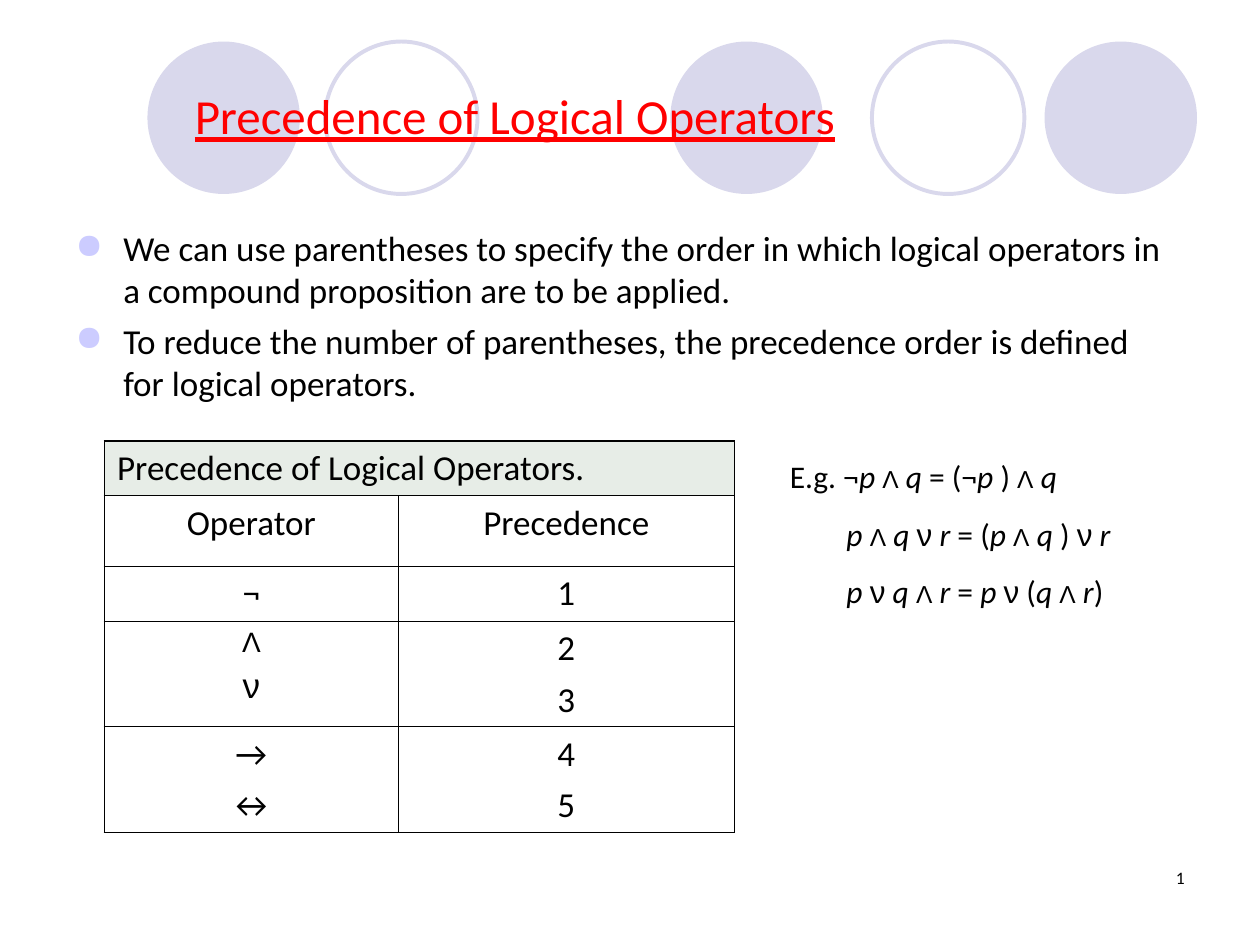
from itertools import groupby

from lxml import etree
from pptx import Presentation
from pptx.dml.color import RGBColor
from pptx.enum.shapes import MSO_SHAPE
from pptx.enum.text import MSO_ANCHOR, MSO_AUTO_SIZE, PP_ALIGN
from pptx.oxml.ns import qn
from pptx.util import Inches, Pt

OVAL = MSO_SHAPE.OVAL
TOP = MSO_ANCHOR.TOP
LEFT, CENTER, RIGHT = PP_ALIGN.LEFT, PP_ALIGN.CENTER, PP_ALIGN.RIGHT

COLORS = {
    "circle": "D9D8EC",
    "title": "FF0000",
    "text": "000000",
    "bullet": "CCCCFF",
    "header": "E7EDE7",
}
OUTER_BORDER, INNER_BORDER = Pt(1.08), Pt(0.45)


def color(name):
    return RGBColor.from_string(COLORS[name])


def set_font(font, size, name="Calibri", color_name="text"):
    font.size = Pt(size)
    font.name = name
    font.color.rgb = color(color_name)


presentation = Presentation()
presentation.slide_width = Inches(10)
presentation.slide_height = Inches(7.5)
slide = presentation.slides.add_slide(presentation.slide_layouts[5])
shapes = slide.shapes

# Row of decorative circles
for left, filled in [(1.17, True), (2.58, False), (5.32, True), (6.92, False), (8.29, True)]:
    circle = shapes.add_shape(OVAL, Inches(left), Inches(0.33), Inches(1.21), Inches(1.21))
    circle.shadow.inherit = False
    if filled:
        circle.fill.solid()
        circle.fill.fore_color.rgb = color("circle")
        circle.line.fill.background()
    else:
        circle.fill.background()
        circle.line.color.rgb = color("circle")
        circle.line.width = Pt(2.25)

# Title, brought in front of the circles
title = shapes.title
shapes._spTree.append(title._element)
title.left, title.top = Inches(0.5), Inches(0.63)
title.width, title.height = Inches(7.17), Inches(0.57)
title.text_frame.text = "Precedence of Logical Operators"
title.text_frame.auto_size = MSO_AUTO_SIZE.NONE
title.text_frame.vertical_anchor = TOP
paragraph = title.text_frame.paragraphs[0]
paragraph.alignment = CENTER
set_font(paragraph.font, 28, color_name="title")
paragraph.font.underline = True

# Bulleted explanation
body = shapes.add_textbox(Inches(0.5), Inches(1.75), Inches(8.92), Inches(1.6))
body.text_frame.word_wrap = True
body.text_frame.text = (
    "We can use parentheses to specify the order in which logical operators in "
    "a compound proposition are to be applied.\n"
    "To reduce the number of parentheses, the precedence order is defined for logical operators."
)
for index, paragraph in enumerate(body.text_frame.paragraphs):
    properties = paragraph._p.get_or_add_pPr()
    properties.set("marL", str(Inches(0.38)))
    properties.set("indent", str(-Inches(0.38)))
    bullet_color = etree.SubElement(properties, qn("a:buClr"))
    etree.SubElement(bullet_color, qn("a:srgbClr"), val=COLORS["bullet"])
    etree.SubElement(properties, qn("a:buChar"), char="●")
    paragraph.space_before = Pt(5 if index else 0)
    set_font(paragraph.font, 20)

# Precedence table
rows = [
    ("Precedence of Logical Operators.", ""),
    ("Operator", "Precedence"),
    ("¬", "1"),
    ("Λ\nν", "2\n3"),
    ("→\n↔", "4\n5"),
]
row_heights = [0.43, 0.56, 0.43, 0.84, 0.84]
column_widths = [2.33, 2.67]
table = shapes.add_table(
    len(rows), 2, Inches(0.83), Inches(3.5), Inches(5), Inches(3.1)
).table
table.first_row = table.horz_banding = False
for row, height in zip(table.rows, row_heights):
    row.height = Inches(height)
for column, width in zip(table.columns, column_widths):
    column.width = Inches(width)
table.cell(0, 0).merge(table.cell(0, 1))

last_row = len(rows) - 1
for row_index, texts in enumerate(rows):
    is_header = row_index == 0
    for column_index, text in enumerate(texts):
        cell = table.cell(row_index, column_index)
        outer_sides = {
            "a:lnL": column_index == 0,
            "a:lnR": column_index == 1 or is_header,
            "a:lnT": is_header,
            "a:lnB": row_index == last_row,
        }
        cell_properties = cell._tc.get_or_add_tcPr()
        for side, is_outer in outer_sides.items():
            width = OUTER_BORDER if is_outer else INNER_BORDER
            border = etree.SubElement(cell_properties, qn(side), w=str(width))
            border_fill = etree.SubElement(border, qn("a:solidFill"))
            etree.SubElement(border_fill, qn("a:srgbClr"), val=COLORS["text"])
        if is_header:
            cell.fill.solid()
            cell.fill.fore_color.rgb = color("header")
        else:
            cell.fill.background()
        if not text:
            continue
        cell.text = text
        for index, paragraph in enumerate(cell.text_frame.paragraphs):
            paragraph.alignment = LEFT if is_header else CENTER
            paragraph.space_before = Pt(5 if index else 0)
            is_symbol = paragraph.text in ("Λ", "ν")
            size = 16 if paragraph.text == "Λ" else 20
            set_font(paragraph.font, size, "Arial" if is_symbol else "Calibri")

# Worked examples: variables in italics, connectives in Arial
examples = ["E.g. ¬p Λ q = (¬p ) Λ q", "p Λ q ν r = (p Λ q ) ν r", "p ν q Λ r = p ν (q Λ r)"]
character_kinds = {"p": "variable", "q": "variable", "r": "variable", "Λ": "and", "ν": "or"}
example_box = shapes.add_textbox(Inches(6.17), Inches(3.58), Inches(3.67), Inches(1.32))
example_box.text_frame.word_wrap = True
example_box.text_frame.text = "\n".join([""] * len(examples))
for index, (paragraph, example) in enumerate(zip(example_box.text_frame.paragraphs, examples)):
    if index:
        paragraph._p.get_or_add_pPr().set("marL", str(Inches(0.45)))
    paragraph.space_before = Pt(11.2 if index else 0)
    for kind, characters in groupby(example, character_kinds.get):
        run = paragraph.add_run()
        run.text = "".join(characters)
        set_font(run.font, 14 if kind == "and" else 18, "Arial" if kind in ("and", "or") else "Calibri")
        run.font.italic = kind == "variable"

# Slide number
number_box = shapes.add_textbox(Inches(7.17), Inches(6.83), Inches(2.33), Inches(0.5))
number_box.text_frame.word_wrap = True
number_box.text_frame.text = "1"
paragraph = number_box.text_frame.paragraphs[0]
paragraph.alignment = RIGHT
set_font(paragraph.font, 10)

presentation.save("out.pptx")
